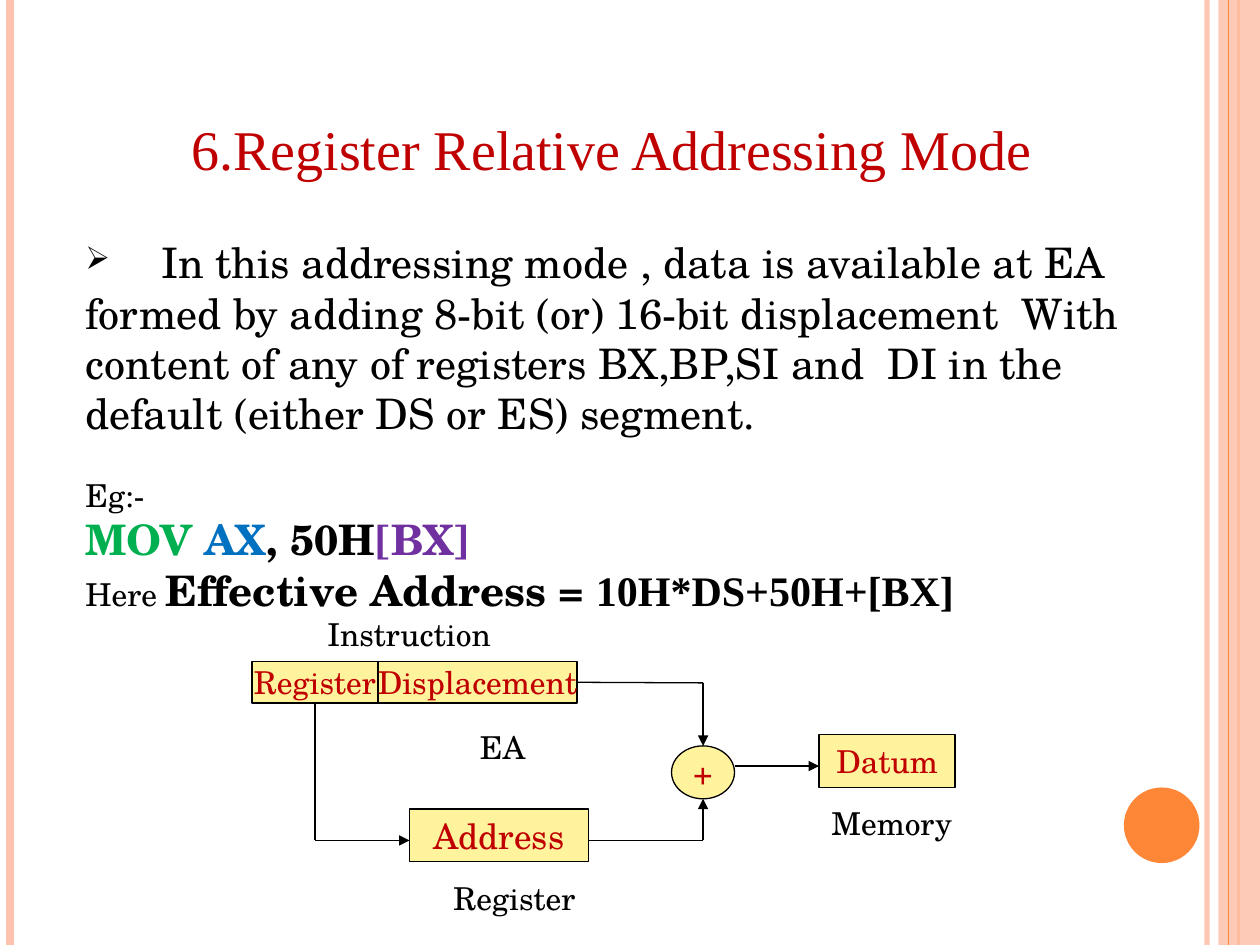
from pptx import Presentation
from pptx.dml.color import RGBColor
from pptx.enum import shapes, text
from pptx.oxml.ns import qn
from pptx.util import Inches, Pt
from lxml import etree

BLACK = RGBColor(0x00, 0x00, 0x00)
RED = RGBColor(0xC0, 0x00, 0x00)
GREEN = RGBColor(0x00, 0xB0, 0x50)
BLUE = RGBColor(0x00, 0x70, 0xC0)
PURPLE = RGBColor(0x70, 0x30, 0xA0)
YELLOW = RGBColor(0xFF, 0xF3, 0x9D)
PEACH = RGBColor(0xFE, 0xC3, 0xAE)
ORANGE = RGBColor(0xFE, 0x86, 0x37)
SERIF = "TeX Gyre Schola"
TIMES = "Times New Roman"
RECTANGLE = shapes.MSO_SHAPE.RECTANGLE
OVAL = shapes.MSO_SHAPE.OVAL


def set_font(font, size, color=BLACK, name=SERIF, bold=False):
    """Set the size, colour, face and weight of a font."""
    font.size, font.name, font.bold = Pt(size), name, bold
    font.color.rgb = color


def set_opacity(parent, percent):
    """Make the solid colour inside an element partly transparent."""
    color = next(parent.iter(qn("a:srgbClr")))
    etree.SubElement(color, qn("a:alpha"), val=str(percent * 1000))


def add_line(slide, start, end, color=BLACK, width=0.75, arrow=False):
    """Draw a straight line between two points given in inches."""
    points = [Inches(value) for value in (*start, *end)]
    line = slide.shapes.add_connector(shapes.MSO_CONNECTOR.STRAIGHT, *points)
    line.line.color.rgb = color
    line.line.width = Pt(width)
    if arrow:
        etree.SubElement(line.line._get_or_add_ln(), qn("a:tailEnd"), type="triangle")
    etree.SubElement(line._element.spPr, qn("a:effectLst"))
    return line


def add_filled(slide, kind, box, color):
    """Add a flat filled shape without an outline."""
    shape = slide.shapes.add_shape(kind, *map(Inches, box))
    shape.shadow.inherit = False
    shape.fill.solid()
    shape.fill.fore_color.rgb = color
    shape.line.fill.background()
    return shape


def add_text_frame(slide, box, wrap=True):
    """Add a text box and return its frame."""
    frame = slide.shapes.add_textbox(*map(Inches, box)).text_frame
    frame.word_wrap = wrap
    return frame


def add_decoration(slide, left, top, width, height):
    """Draw the striped edges and the disc."""
    right, bottom = left + width, top + height
    stripes = [(right - 0.42, PEACH, 3), (left + 0.08, PEACH, 4.5), (right - 0.17, ORANGE, 1.5)]
    lines = [add_line(slide, (x, top), (x, bottom), color, weight) for x, color, weight in stripes]
    set_opacity(lines[0]._element.spPr, 93)
    band = add_filled(slide, RECTANGLE, (right - 0.33, top, 0.33, height), PEACH)
    set_opacity(band._element.spPr, 87)
    add_line(slide, (right - 0.25, top), (right - 0.25, bottom), ORANGE)
    add_filled(slide, OVAL, (right - 1.08, bottom - 1.25, 0.6, 0.6), ORANGE)


def add_title(slide, *box):
    """Write the slide title."""
    paragraph = add_text_frame(slide, box).paragraphs[0]
    paragraph.text = "6.Register Relative Addressing Mode"
    paragraph.line_spacing = 0.9
    set_font(paragraph.font, 32, RED, TIMES)


def add_explanation(slide, *box):
    """Write the bulleted definition and the example."""
    definition = (
        "In this addressing mode , data is available at EA formed by adding 8-bit (or) "
        "16-bit displacement  With content of any of registers BX,BP,SI and  DI in the "
        "default (either DS or ES) segment."
    )
    paragraphs = [
        [("\t", 18, BLACK, SERIF, False), (definition, 24, BLACK, SERIF, False)],
        [("Eg:-", 18, BLACK, SERIF, False)],
        [
            ("MOV ", 24, GREEN, SERIF, True),
            ("AX", 24, BLUE, SERIF, True),
            (", 50H", 24, BLACK, SERIF, True),
            ("[BX]", 24, PURPLE, SERIF, True),
        ],
        [
            ("Here ", 18, BLACK, SERIF, False),
            ("Effective Address = ", 24, BLACK, SERIF, True),
            ("10H*DS+50H+[BX]", 24, BLACK, TIMES, True),
        ],
    ]
    frame = add_text_frame(slide, box)
    for index, runs in enumerate(paragraphs):
        paragraph = frame.add_paragraph() if index else frame.paragraphs[0]
        for words, *style in runs:
            run = paragraph.add_run()
            run.text = words
            set_font(run.font, *style)
    frame.paragraphs[1].space_before = Pt(21.6)
    properties = frame.paragraphs[0]._p.get_or_add_pPr()
    properties.set("marL", "0")
    properties.set("indent", "0")
    etree.SubElement(properties, qn("a:buChar"), char="➢")
    tabs = etree.SubElement(properties, qn("a:tabLst"))
    etree.SubElement(tabs, qn("a:tab"), pos=str(Inches(0.6)), algn="l")


def add_node(slide, kind, box, words, size):
    """Add a yellow diagram node with a centred word."""
    node = add_filled(slide, kind, box, YELLOW)
    node.line.color.rgb = BLACK
    node.line.width = Pt(0.75)
    frame = node.text_frame
    frame.word_wrap = False
    frame.vertical_anchor = text.MSO_ANCHOR.MIDDLE
    paragraph = frame.paragraphs[0]
    paragraph.text = words
    paragraph.alignment = text.PP_ALIGN.CENTER
    set_font(paragraph.font, size, RED)
    return node


def add_diagram(slide, left, top):
    """Draw how the effective address is formed."""
    nodes = {}
    for kind, x, y, width, height, words, size in [
        (RECTANGLE, 0, 0.42, 1, 0.33, "Register", 18),
        (RECTANGLE, 1, 0.42, 1.58, 0.33, "Displacement", 18),
        (RECTANGLE, 1.25, 1.59, 1.42, 0.42, "Address", 20),
        (OVAL, 3.33, 1.09, 0.5, 0.42, "+", 18),
        (RECTANGLE, 4.5, 1, 1.08, 0.42, "Datum", 18),
    ]:
        nodes[words] = add_node(slide, kind, (left + x, top + y, width, height), words, size)

    routes = [
        [(3.83, 1.25), (4.5, 1.25)],
        [(2.58, 0.59), (3.58, 0.59), (3.58, 1.09)],
        [(2.67, 1.84), (3.58, 1.84), (3.58, 1.51)],
        [(0.5, 0.75), (0.5, 1.84), (1.25, 1.84)],
    ]
    first_lines = []
    for route in routes:
        points = [(left + x, top + y) for x, y in route]
        lines = [
            add_line(slide, start, end, arrow=end == points[-1])
            for start, end in zip(points, points[1:])
        ]
        first_lines.append(lines[0])
    first_lines[1].begin_connect(nodes["Displacement"], 3)
    first_lines[3].begin_connect(nodes["Register"], 2)

    line_pitch = 0.3
    for words, x, row in [
        ("Instruction", 0.5, 0), ("EA", 1.71, 3), ("Memory", 4.5, 5), ("Register", 1.5, 7),
    ]:
        box = (left + x, top + row * line_pitch, 1.5, 0.4)
        paragraph = add_text_frame(slide, box, wrap=False).paragraphs[0]
        paragraph.text = words
        set_font(paragraph.font, 18)


def main():
    """Build and save the slide."""
    presentation = Presentation()
    presentation.slide_width, presentation.slide_height = Inches(10), Inches(7.5)
    slide = presentation.slides.add_slide(presentation.slide_layouts[6])
    add_decoration(slide, 0, 0, 10, 7.5)
    add_title(slide, 1.42, 0.92, 7.67, 0.59)
    add_explanation(slide, 0.58, 1.83, 9.08, 3.13)
    add_diagram(slide, 2, 4.83)
    presentation.save("out.pptx")


if __name__ == "__main__":
    main()
